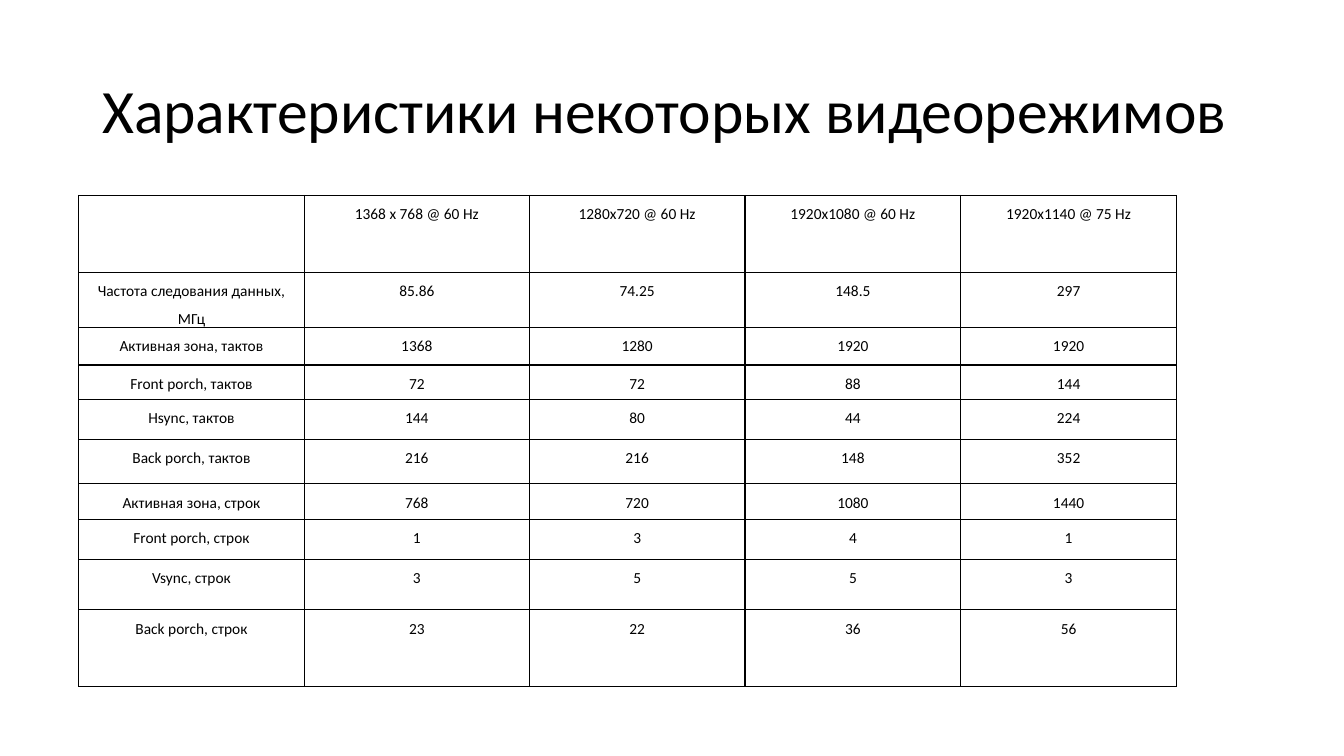
from lxml.etree import SubElement
from pptx import Presentation
from pptx.dml.color import RGBColor
from pptx.enum.text import MSO_ANCHOR, PP_ALIGN
from pptx.oxml.ns import qn
from pptx.util import Inches, Pt

BLACK = RGBColor(0x00, 0x00, 0x00)
FONT = "Calibri"
COLUMN_WIDTHS = [2.24, 2.23, 2.14, 2.14, 2.14]
ROW_HEIGHTS = [0.76, 0.46, 0.37, 0.34, 0.4, 0.44, 0.35, 0.4, 0.5, 0.76]
VIDEO_MODES = [
    ["", "1368 x 768 @ 60 Hz", "1280x720 @ 60 Hz", "1920x1080 @ 60 Hz", "1920x1140 @ 75 Hz"],
    ["Частота следования данных, МГц", "85.86", "74.25", "148.5", "297"],
    ["Активная зона, тактов", "1368", "1280", "1920", "1920"],
    ["Front porch, тактов", "72", "72", "88", "144"],
    ["Hsync, тактов", "144", "80", "44", "224"],
    ["Back porch, тактов", "216", "216", "148", "352"],
    ["Активная зона, строк", "768", "720", "1080", "1440"],
    ["Front porch, строк", "1", "3", "4", "1"],
    ["Vsync, строк", "3", "5", "5", "3"],
    ["Back porch, строк", "23", "22", "36", "56"],
]


def write_text(text_frame, text, size, line_spacing, alignment=PP_ALIGN.LEFT):
    text_frame.word_wrap = True
    paragraph = text_frame.paragraphs[0]
    paragraph.alignment = alignment
    paragraph.line_spacing = line_spacing
    paragraph.font.size = Pt(size)
    if text:
        run = paragraph.add_run()
        run.text = text
        run.font.name = FONT
        run.font.size = Pt(size)
        run.font.color.rgb = BLACK


def add_title(slide, text):
    title = slide.shapes.add_textbox(Inches(0.92), Inches(0.4), Inches(11.5), Inches(1.45))
    title.text_frame.vertical_anchor = MSO_ANCHOR.MIDDLE
    write_text(title.text_frame, text, size=44, line_spacing=0.9)


def add_borders(cell, color, width):
    properties = cell._tc.get_or_add_tcPr()
    for side in ("a:lnL", "a:lnR", "a:lnT", "a:lnB"):
        line = SubElement(properties, qn(side), w=str(Pt(width)))
        fill = SubElement(line, qn("a:solidFill"))
        SubElement(fill, qn("a:srgbClr"), val=str(color))


def format_cell(cell, text):
    cell.margin_left = cell.margin_right = Inches(0.05)
    cell.margin_top = cell.margin_bottom = 0
    add_borders(cell, BLACK, 1)
    cell.fill.background()
    write_text(cell.text_frame, text, size=11, line_spacing=1.5, alignment=PP_ALIGN.CENTER)


def add_mode_table(slide, rows):
    frame = slide.shapes.add_table(
        len(rows), len(COLUMN_WIDTHS), Inches(0.78), Inches(1.94),
        Inches(sum(COLUMN_WIDTHS)), Inches(sum(ROW_HEIGHTS)),
    )
    table = frame.table
    table.first_row = False
    table.horz_banding = False
    for column, width in zip(table.columns, COLUMN_WIDTHS):
        column.width = Inches(width)
    for row, height, values in zip(table.rows, ROW_HEIGHTS, rows):
        row.height = Inches(height)
        for cell, value in zip(row.cells, values):
            format_cell(cell, value)


def main():
    presentation = Presentation()
    presentation.slide_width = Inches(13.33)
    presentation.slide_height = Inches(7.5)
    slide = presentation.slides.add_slide(presentation.slide_layouts[6])
    add_title(slide, "Характеристики некоторых видеорежимов")
    add_mode_table(slide, VIDEO_MODES)
    presentation.save("out.pptx")


if __name__ == "__main__":
    main()
